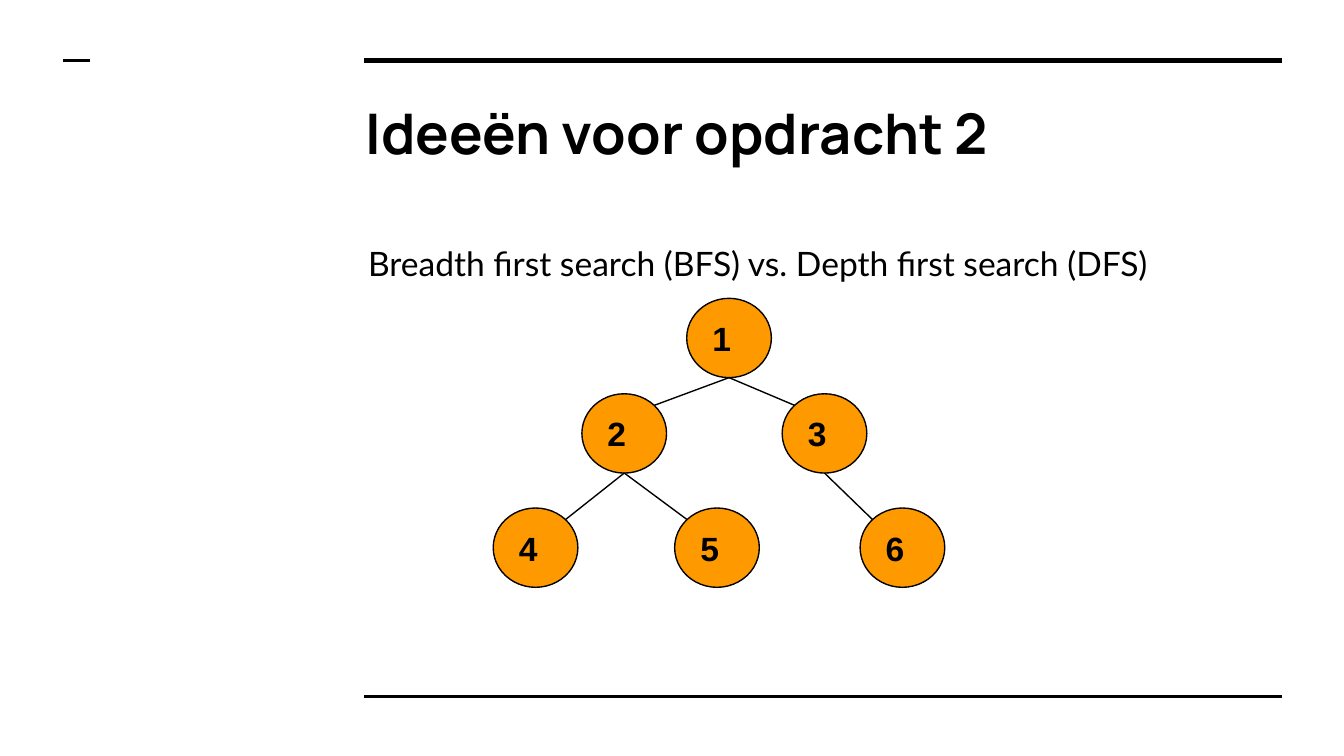
import math
from dataclasses import dataclass

import pptx
import pptx.dml.color
import pptx.enum.shapes
import pptx.enum.text
import pptx.oxml.ns
import pptx.util
from lxml import etree


@dataclass(frozen=True)
class Theme:
    ink: str = "000000"
    node: str = "FF9900"
    title_font: str = "Manrope"
    body_font: str = "Lato"
    node_font: str = "Arial"
    title_size: float = 30
    text_size: float = 18
    thin: float = 0.75
    rule: float = 1.5
    thick: float = 3


def rgb(value):
    return pptx.dml.color.RGBColor.from_string(value)


def write(tf, text, *, font, size, color, bold=False, spacing=1.0, anchor="TOP"):
    """Put one left-aligned paragraph in a text frame."""
    tf.word_wrap = True
    tf.vertical_anchor = getattr(pptx.enum.text.MSO_ANCHOR, anchor)
    tf.margin_left = tf.margin_right = pptx.util.Inches(0.1)
    tf.margin_top = tf.margin_bottom = pptx.util.Inches(0.1)
    p = tf.paragraphs[0]
    p.alignment = pptx.enum.text.PP_ALIGN.LEFT
    p.line_spacing = spacing
    r = p.add_run()
    r.text = text
    r.font.name, r.font.size, r.font.bold = font, pptx.util.Pt(size), bold
    r.font.color.rgb = rgb(color)


class Deck:
    """Slide on a grid of 100 columns; rows are as high as columns are wide."""

    def __init__(self, theme):
        self.theme = theme
        self.prs = pptx.Presentation()
        self.prs.slide_width = pptx.util.Inches(10)
        self.prs.slide_height = pptx.util.Inches(5.625)
        self.cell = self.prs.slide_width / 100
        self.s = self.prs.slides.add_slide(self.prs.slide_layouts[6])

    def grid(self, *cells):
        return [pptx.util.Emu(round(c * self.cell)) for c in cells]

    def line(self, start, end, width):
        sp = self.s.shapes.add_connector(
            pptx.enum.shapes.MSO_CONNECTOR.STRAIGHT, *self.grid(*start, *end))
        sp.line.color.rgb = rgb(self.theme.ink)
        sp.line.width = pptx.util.Pt(width)
        etree.SubElement(sp._element.spPr, pptx.oxml.ns.qn("a:effectLst"))

    def text(self, box, text, **style):
        sp = self.s.shapes.add_textbox(*self.grid(*box))
        write(sp.text_frame, text, color=self.theme.ink, **style)

    def node(self, center, size, label):
        (x, y), (w, h) = center, size
        sp = self.s.shapes.add_shape(
            pptx.enum.shapes.MSO_SHAPE.OVAL, *self.grid(x - w / 2, y - h / 2, w, h))
        sp.shadow.inherit = False
        sp.fill.solid()
        sp.fill.fore_color.rgb = rgb(self.theme.node)
        sp.line.color.rgb = rgb(self.theme.ink)
        sp.line.width = pptx.util.Pt(self.theme.thin)
        write(sp.text_frame, label, font=self.theme.node_font, size=self.theme.text_size,
              color=self.theme.ink, bold=True, anchor="MIDDLE")

    def edge(self, parent, child, size):
        """Join the foot of the parent to the child's upper shoulder facing it."""
        w, h = size
        diagonal = math.sqrt(0.5) / 2
        side = math.copysign(1, parent[0] - child[0])
        self.line((parent[0], parent[1] + h / 2),
                  (child[0] + side * w * diagonal, child[1] - h * diagonal),
                  self.theme.thin)


def main():
    theme = Theme()
    deck = Deck(theme)

    left, right, top, bottom = 27.1, 95.4, 4.5, 51.8
    deck.line((left, top), (right, top), theme.thick)
    deck.line((left, bottom), (right, bottom), theme.rule)
    deck.line((4.7, top), (6.7, top), theme.rule)

    deck.text((26.2, 6.3, 69.1, 6.9), "Ideeën voor opdracht 2",
              font=theme.title_font, size=theme.title_size, bold=True)
    deck.text((26.4, 16.6, 69.1, 4.7),
              "Breadth first search (BFS) vs. Depth first search (DFS)",
              font=theme.body_font, size=theme.text_size, spacing=1.15)

    size = (6.3, 5.9)
    levels = {25.15: {1: 54.25}, 32.25: {2: 46.45, 3: 61.35},
              40.75: {4: 39.85, 5: 53.35, 6: 67.15}}
    centers = {n: (x, y) for y, row in levels.items() for n, x in row.items()}
    children = {1: (2, 3), 2: (4, 5), 3: (6,)}
    for number, center in centers.items():
        deck.node(center, size, str(number))
    for parent, below in children.items():
        for child in below:
            deck.edge(centers[parent], centers[child], size)

    deck.prs.save("out.pptx")


if __name__ == "__main__":
    main()
